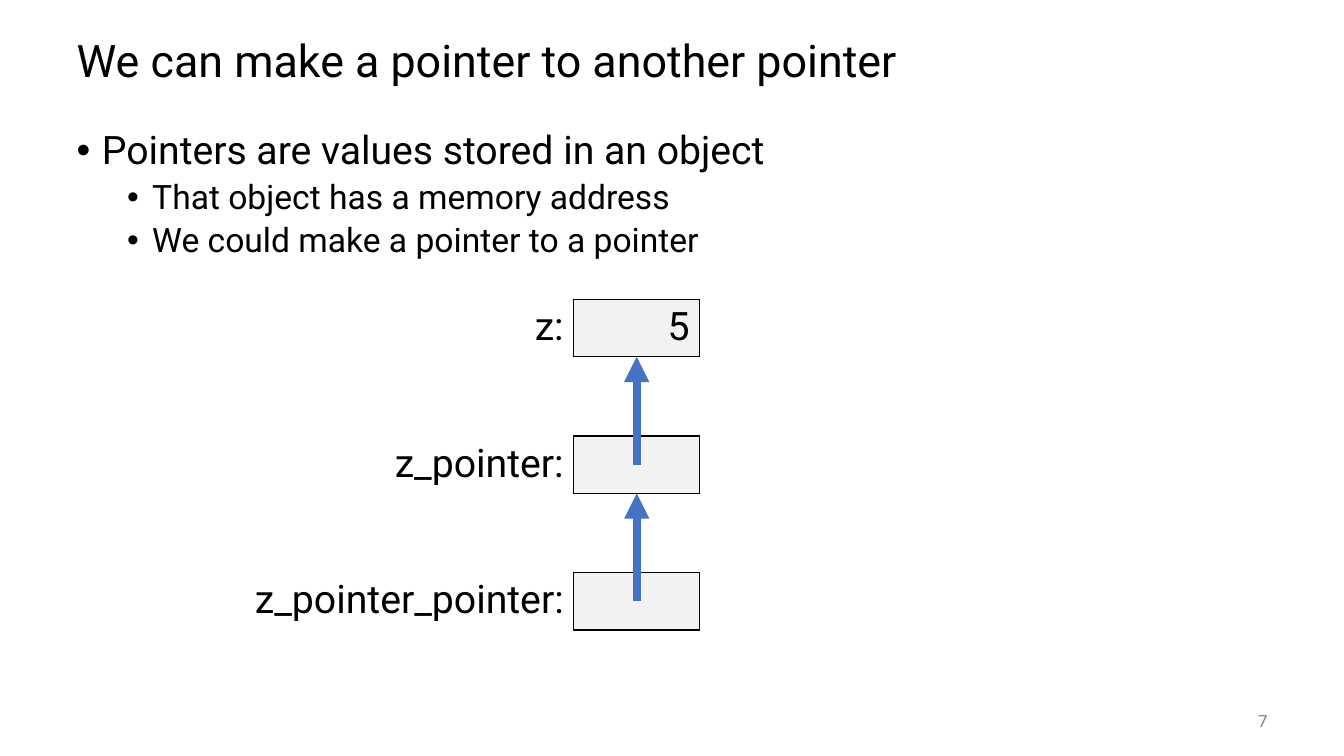
from lxml.etree import SubElement
from pptx import Presentation
from pptx.dml.color import RGBColor
from pptx.enum.shapes import MSO_CONNECTOR as Connector
from pptx.enum.text import MSO_ANCHOR as Anchor, MSO_AUTO_SIZE as AutoSize, PP_ALIGN as Align
from pptx.oxml.ns import qn
from pptx.util import Inches, Pt

COLOURS = {"text": "000000", "number": "808080", "cell": "F2F2F2",
           "border": "000000", "arrow": "4472C4"}
FONT = "Roboto"
BULLETS = [(0, "Pointers are values stored in an object"),
           (1, "That object has a memory address"),
           (1, "We could make a pointer to a pointer")]
# Label, label width, stored value
OBJECTS = [("z:", 1.25, "5"), ("z_pointer:", 3.27, ""), ("z_pointer_pointer:", 3.7, "")]


def colour(name):
    return RGBColor.from_string(COLOURS[name])


def style(para, size, name="text", align=Align.LEFT):
    para.alignment = align
    para.font.name, para.font.size, para.font.bold = FONT, Pt(size), False
    para.font.color.rgb = colour(name)


def place(shape, left, top, width, height):
    shape.left, shape.top = Inches(left), Inches(top)
    shape.width, shape.height = Inches(width), Inches(height)


def add_title(page, text, *box):
    title = page.shapes.title
    place(title, *box)
    frame = title.text_frame
    frame.text = text
    frame.auto_size, frame.vertical_anchor = AutoSize.NONE, Anchor.MIDDLE
    frame.paragraphs[0].line_spacing = 0.9
    style(frame.paragraphs[0], 32)


def add_bullets(page, items, *box):
    body = page.placeholders[1]
    place(body, *box)
    frame = body.text_frame
    frame.text = "\n".join(text for _, text in items)
    frame.auto_size, frame.vertical_anchor = AutoSize.NONE, Anchor.TOP
    for index, (para, (level, _)) in enumerate(zip(frame.paragraphs, items)):
        para.level = level
        para.line_spacing = 0.9
        para.space_before = Pt(5 if index else 0)
        props = para._p.get_or_add_pPr()
        props.set("marL", str(Inches(0.25 + 0.5 * level)))
        props.set("indent", str(Inches(-0.25)))
        SubElement(props, qn("a:buFont"), typeface="Arial")
        SubElement(props, qn("a:buChar"), char="•")
        style(para, 24 if level else 28)


def add_page_number(page, text, *box):
    frame = page.shapes.add_textbox(*map(Inches, box)).text_frame
    frame.word_wrap, frame.vertical_anchor = True, Anchor.MIDDLE
    frame.text = text
    style(frame.paragraphs[0], 12, "number", Align.RIGHT)


def set_borders(cell, visible):
    props = cell._tc.get_or_add_tcPr()
    for side in "LRTB":
        line = SubElement(props, qn(f"a:ln{side}"), w=str(Pt(1)))
        if side in visible:
            fill = SubElement(line, qn("a:solidFill"))
            SubElement(fill, qn("a:srgbClr"), val=COLOURS["border"])
        else:
            SubElement(line, qn("a:noFill"))


def add_object(page, label, label_width, value, left, top, width, height):
    """Draw a labelled memory cell; the box given is the cell's own."""
    table = page.shapes.add_table(
        1, 2, Inches(left - label_width), Inches(top),
        Inches(label_width + width), Inches(height)).table
    table.first_row = table.horz_banding = False
    table.columns[0].width, table.columns[1].width = Inches(label_width), Inches(width)
    label_cell, value_cell = table.cell(0, 0), table.cell(0, 1)
    for cell, text, sides in ((label_cell, label, "R"), (value_cell, value, "LRTB")):
        cell.text = text
        style(cell.text_frame.paragraphs[0], 28, align=Align.RIGHT)
        set_borders(cell, sides)
    label_cell.fill.background()
    value_cell.fill.solid()
    value_cell.fill.fore_color.rgb = colour("cell")


def add_arrow(page, x, start, end):
    arrow = page.shapes.add_connector(
        Connector.STRAIGHT, Inches(x), Inches(start), Inches(x), Inches(end))
    arrow.line.width = Pt(6)
    arrow.line.color.rgb = colour("arrow")
    SubElement(arrow.line._get_or_add_ln(), qn("a:tailEnd"), type="triangle")
    SubElement(arrow._element.spPr, qn("a:effectLst"))


def add_pointer_chain(page, objects, left, top, width, height, pitch):
    tops = [top + pitch * index for index in range(len(objects))]
    for (label, label_width, value), y in zip(objects, tops):
        add_object(page, label, label_width, value, left, y, width, height)
    # Each pointer aims at the object above it
    for target, source in zip(tops, tops[1:]):
        add_arrow(page, left + width / 2, source + height / 2, target + height)


def main():
    deck = Presentation()
    deck.slide_width, deck.slide_height = Inches(13.33), Inches(7.5)
    page = deck.slides.add_slide(deck.slide_layouts[1])
    add_title(page, "We can make a pointer to another pointer", 0.66, 0.25, 12, 0.75)
    add_bullets(page, BULLETS, 0.66, 1.25, 12, 5.5)
    add_page_number(page, "7", 11.67, 6.95, 1, 0.4)
    add_pointer_chain(page, OBJECTS, 5.69, 2.97, 1.25, 0.57, pitch=1.355)
    deck.save("out.pptx")


if __name__ == "__main__":
    main()
